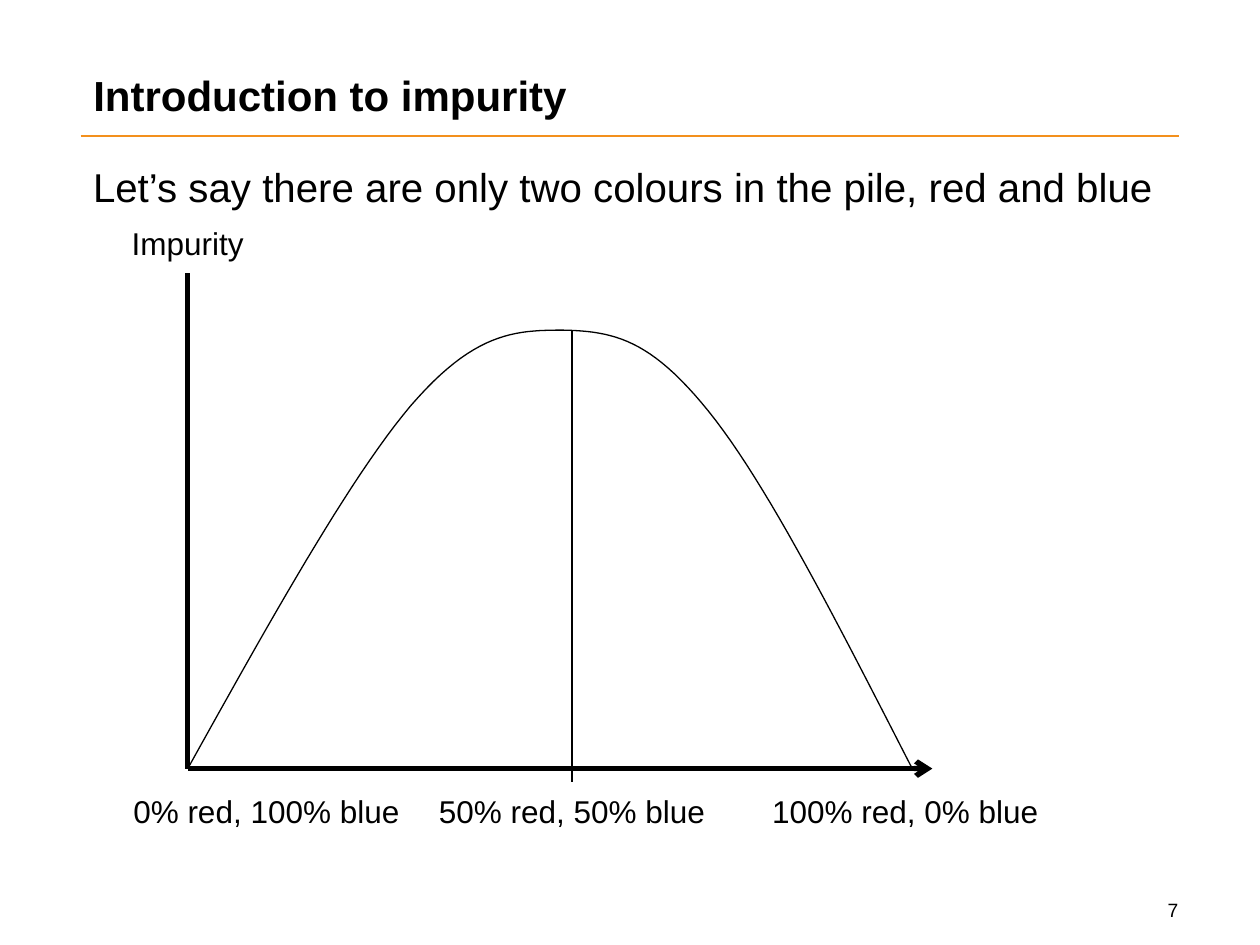
from lxml import etree
from pptx import Presentation
from pptx.dml.color import RGBColor
from pptx.enum.shapes import MSO_CONNECTOR
from pptx.enum.text import MSO_ANCHOR, PP_ALIGN
from pptx.oxml.ns import qn
from pptx.util import Inches, Pt

LEFT, MID, RIGHT = PP_ALIGN.LEFT, PP_ALIGN.CENTER, PP_ALIGN.RIGHT
STRAIGHT, BOTTOM = MSO_CONNECTOR.STRAIGHT, MSO_ANCHOR.BOTTOM
COLORS = {"ink": "000000", "rule": "F3901D"}
FONT = "Arial"

TITLE = "Introduction to impurity"
X0, Y0 = 1.49, 6.1      # origin of the axes
HALF, TOP = 4.54, 2.62  # even split and peak
WIDE, HIGH = 2.74, 0.4  # label size

# text, (left, top, width, height), size, alignment
TEXTS = [
    ("Let’s say there are only two colours in the pile, red and blue",
     (0.64, 1.24, 8.74, 0.49), 23, LEFT),
    ("Impurity", (0.12, 1.73, WIDE, HIGH), 18, MID),
    ("0% red, 100% blue", (0.96, 6.24, WIDE, HIGH), 18, LEFT),
    ("50% red, 50% blue", (3.17, 6.24, WIDE, HIGH), 18, MID),
    ("100% red, 0% blue", (6.03, 6.24, WIDE, HIGH), 18, LEFT),
    ("7", (8.57, 7.08, 0.88, 0.29), 11, RIGHT),
]
# start, end, colour, width, arrowhead
LINES = [
    ((0.64, 1.08), (9.36, 1.08), "rule", 1.5, False),
    ((X0, 2.17), (X0, Y0), "ink", 3, False),
    ((X0, Y0), (7.4, Y0), "ink", 3, True),
    ((HALF, Y0), (HALF, 6.21), "ink", 0.75, False),
    ((HALF, Y0), (HALF, TOP), "ink", 0.75, False),
]
# two handles and the end of each Bezier piece
CURVE = [
    ((2.13, 4.95), (2.77, 3.8), (3.26, 3.22)),
    ((3.76, 2.64), (4.08, TOP), (4.47, TOP)),
    ((4.87, 2.63), (5.16, 2.69), (5.62, 3.26)),
    ((6.09, 3.84), (6.66, 4.97), (7.24, Y0)),
]
STEPS = 24


def color(name):
    return RGBColor.from_string(COLORS[name])


def place(shape, box):
    shape.left, shape.top, shape.width, shape.height = map(Inches, box)


def write(shape, text, size, align, bold=False):
    frame = shape.text_frame
    frame.word_wrap = True
    frame.text = text
    para = frame.paragraphs[0]
    para.alignment = align
    font = para.runs[0].font
    font.name, font.size, font.bold = FONT, Pt(size), bold
    font.color.rgb = color("ink")


def stroke(line, name, width):
    line.color.rgb = color(name)
    line.width = Pt(width)


def add_line(shapes, start, end, name, width, arrow):
    link = shapes.add_connector(STRAIGHT, *map(Inches, start + end))
    stroke(link.line, name, width)
    props = link._element.spPr
    if arrow:
        etree.SubElement(props.find(qn("a:ln")), qn("a:tailEnd"), type="arrow")
    etree.SubElement(props, qn("a:effectLst"))


def bezier(points, t):
    """Return the point at t on a cubic Bezier, in EMU."""
    u = 1 - t
    parts = (u**3, 3 * u * u * t, 3 * u * t * t, t**3)
    return tuple(Inches(sum(w * p[i] for w, p in zip(parts, points)))
                 for i in (0, 1))


def add_curve(shapes):
    start, dots = (X0, Y0), []
    for piece in CURVE:
        dots += [bezier((start, *piece), n / STEPS)
                 for n in range(1, STEPS + 1)]
        start = piece[-1]
    pen = shapes.build_freeform(Inches(X0), Inches(Y0), scale=1.0)
    pen.add_line_segments(dots, close=False)
    curve = pen.convert_to_shape()
    curve.shadow.inherit = False
    curve.fill.background()
    stroke(curve.line, "ink", 0.75)


def main():
    deck = Presentation()
    deck.slide_width, deck.slide_height = Inches(10), Inches(7.5)
    shapes = deck.slides.add_slide(deck.slide_layouts[5]).shapes

    title = shapes.title
    place(title, (0.64, 0.5, 6.98, 0.5))
    write(title, TITLE, 24, LEFT, bold=True)
    title.text_frame.vertical_anchor = BOTTOM

    for text, box, size, align in TEXTS:
        write(shapes.add_textbox(*map(Inches, box)), text, size, align)
    for row in LINES:
        add_line(shapes, *row)
    add_curve(shapes)
    deck.save("out.pptx")


if __name__ == "__main__":
    main()
